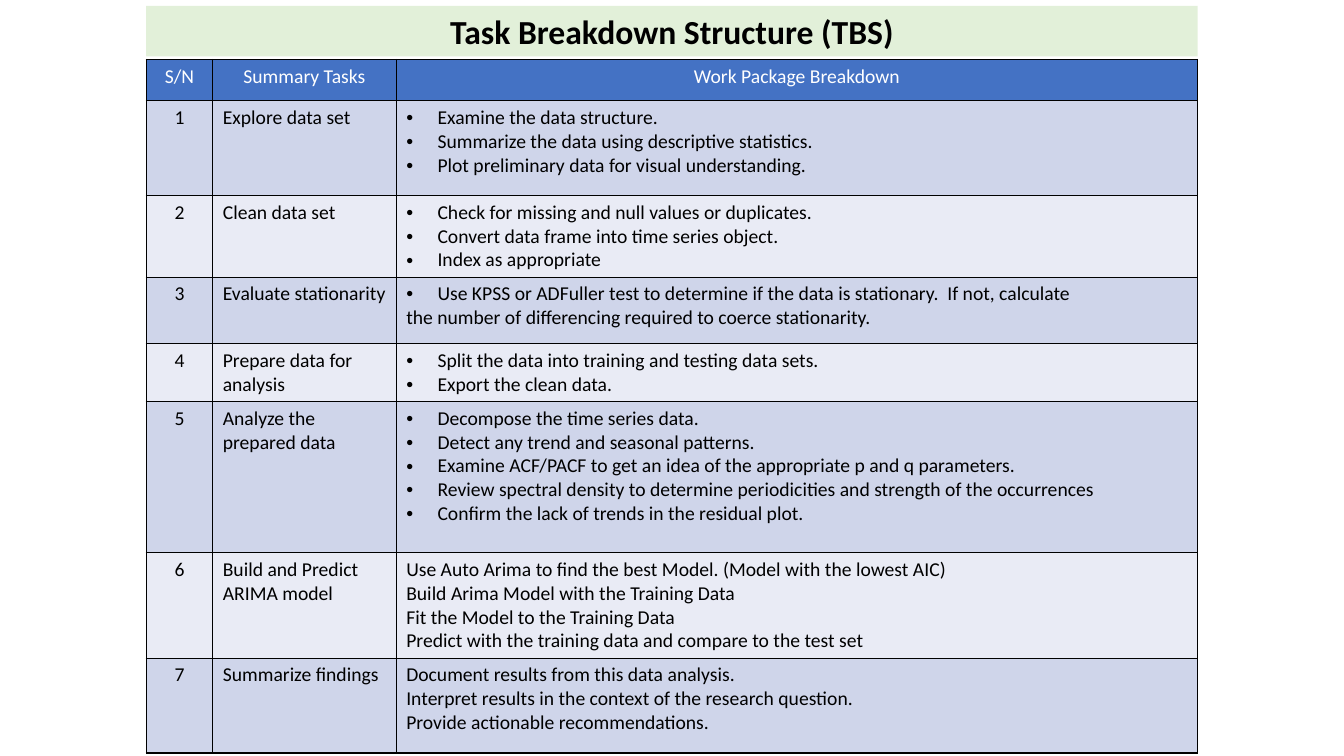
from lxml import etree
from pptx import Presentation
from pptx import util as u
from pptx.dml.color import RGBColor
from pptx.enum import shapes, text
from pptx.oxml.ns import qn

TITLE = "Task Breakdown Structure (TBS)"
HEADINGS = ("S/N", "Summary Tasks", "Work Package Breakdown")
TASKS = [
    ("Explore data set",
     ["Examine the data structure.",
      "Summarize the data using descriptive statistics.",
      "Plot preliminary data for visual understanding."], []),
    ("Clean data set",
     ["Check for missing and null values or duplicates.",
      "Convert data frame into time series object.",
      "Index as appropriate"], []),
    ("Evaluate stationarity",
     ["Use KPSS or ADFuller test to determine if the data is stationary.  If not, calculate"],
     ["the number of differencing required to coerce stationarity."]),
    ("Prepare data for analysis",
     ["Split the data into training and testing data sets.",
      "Export the clean data."], []),
    ("Analyze the prepared data",
     ["Decompose the time series data.",
      "Detect any trend and seasonal patterns.",
      "Examine ACF/PACF to get an idea of the appropriate p and q parameters.",
      "Review spectral density to determine periodicities and strength of the occurrences",
      "Confirm the lack of trends in the residual plot."], []),
    ("Build and Predict ARIMA model", [],
     ["Use Auto Arima to find the best Model. (Model with the lowest AIC)",
      "Build Arima Model with the Training Data",
      "Fit the Model to the Training Data",
      "Predict with the training data and compare to the test set"]),
    ("Summarize findings", [],
     ["Document results from this data analysis.",
      "Interpret results in the context of the research question.",
      "Provide actionable recommendations."]),
]
COLORS = {"banner": "E2F0D9", "header": "4472C4", "odd": "CFD5EA",
          "even": "E9EBF5", "ink": "000000", "heading": "FFFFFF"}
COLUMN_WIDTHS = (0.66, 1.82, 7.95)
ROW_HEIGHTS = (0.41, 0.94, 0.66, 0.66, 0.42, 1.5, 0.94, 0.94)
LEFT, BANNER_TOP, BANNER_HEIGHT, TABLE_TOP = 1.45, 0.06, 0.5, 0.59
INDENT = 0.31
TITLE_FONT = {"name": "Calibri", "size": u.Pt(24), "bold": True}
TABLE_FONT = {"name": "Calibri", "size": u.Pt(14), "bold": False}
CENTER, START = text.PP_ALIGN.CENTER, text.PP_ALIGN.LEFT


def rgb(key):
    return RGBColor.from_string(COLORS[key])


def write(frame, lines, font, color, align, bullets=0):
    for i, line in enumerate(lines):
        paragraph = frame.paragraphs[0] if i == 0 else frame.add_paragraph()
        paragraph.alignment = align
        if i < bullets:
            props = paragraph._p.get_or_add_pPr()
            props.set("marL", str(u.Inches(INDENT)))
            props.set("indent", str(-u.Inches(INDENT)))
            etree.SubElement(props, qn("a:buFont"), typeface="Arial")
            etree.SubElement(props, qn("a:buChar"), char="•")
        run = paragraph.add_run()
        run.text = line
        for name, value in font.items():
            setattr(run.font, name, value)
        run.font.color.rgb = rgb(color)


def add_borders(cell):
    props = cell._tc.get_or_add_tcPr()
    for side in ("lnL", "lnR", "lnT", "lnB"):
        line = etree.SubElement(props, qn(f"a:{side}"), w=str(u.Pt(1)))
        fill = etree.SubElement(line, qn("a:solidFill"))
        etree.SubElement(fill, qn("a:srgbClr"), val=COLORS["ink"])


def main():
    deck = Presentation()
    deck.slide_width, deck.slide_height = u.Inches(13.33), u.Inches(7.5)
    slide = deck.slides.add_slide(deck.slide_layouts[6])
    width = sum(COLUMN_WIDTHS)

    table = slide.shapes.add_table(
        len(ROW_HEIGHTS), len(COLUMN_WIDTHS), u.Inches(LEFT), u.Inches(TABLE_TOP),
        u.Inches(width), u.Inches(sum(ROW_HEIGHTS))).table
    for column, column_width in zip(table.columns, COLUMN_WIDTHS):
        column.width = u.Inches(column_width)
    for row, height in zip(table.rows, ROW_HEIGHTS):
        row.height = u.Inches(height)

    rows = [[([heading], 0) for heading in HEADINGS]]
    for number, (task, bulleted, plain) in enumerate(TASKS, 1):
        rows.append([([str(number)], 0), ([task], 0), (bulleted + plain, len(bulleted))])
    for r, contents in enumerate(rows):
        band = "header" if r == 0 else "odd" if r % 2 else "even"
        for c, (lines, bullets) in enumerate(contents):
            cell = table.cell(r, c)
            add_borders(cell)
            cell.fill.solid()
            cell.fill.fore_color.rgb = rgb(band)
            write(cell.text_frame, lines, TABLE_FONT, "ink" if r else "heading",
                  CENTER if r == 0 or c == 0 else START, bullets)

    banner = slide.shapes.add_shape(
        shapes.MSO_SHAPE.RECTANGLE, u.Inches(LEFT), u.Inches(BANNER_TOP),
        u.Inches(width), u.Inches(BANNER_HEIGHT))
    banner.shadow.inherit = False
    banner.fill.solid()
    banner.fill.fore_color.rgb = rgb("banner")
    banner.line.fill.background()
    banner.text_frame.word_wrap = True
    banner.text_frame.auto_size = text.MSO_AUTO_SIZE.SHAPE_TO_FIT_TEXT
    write(banner.text_frame, [TITLE], TITLE_FONT, "ink", CENTER)

    deck.save("out.pptx")


if __name__ == "__main__":
    main()
